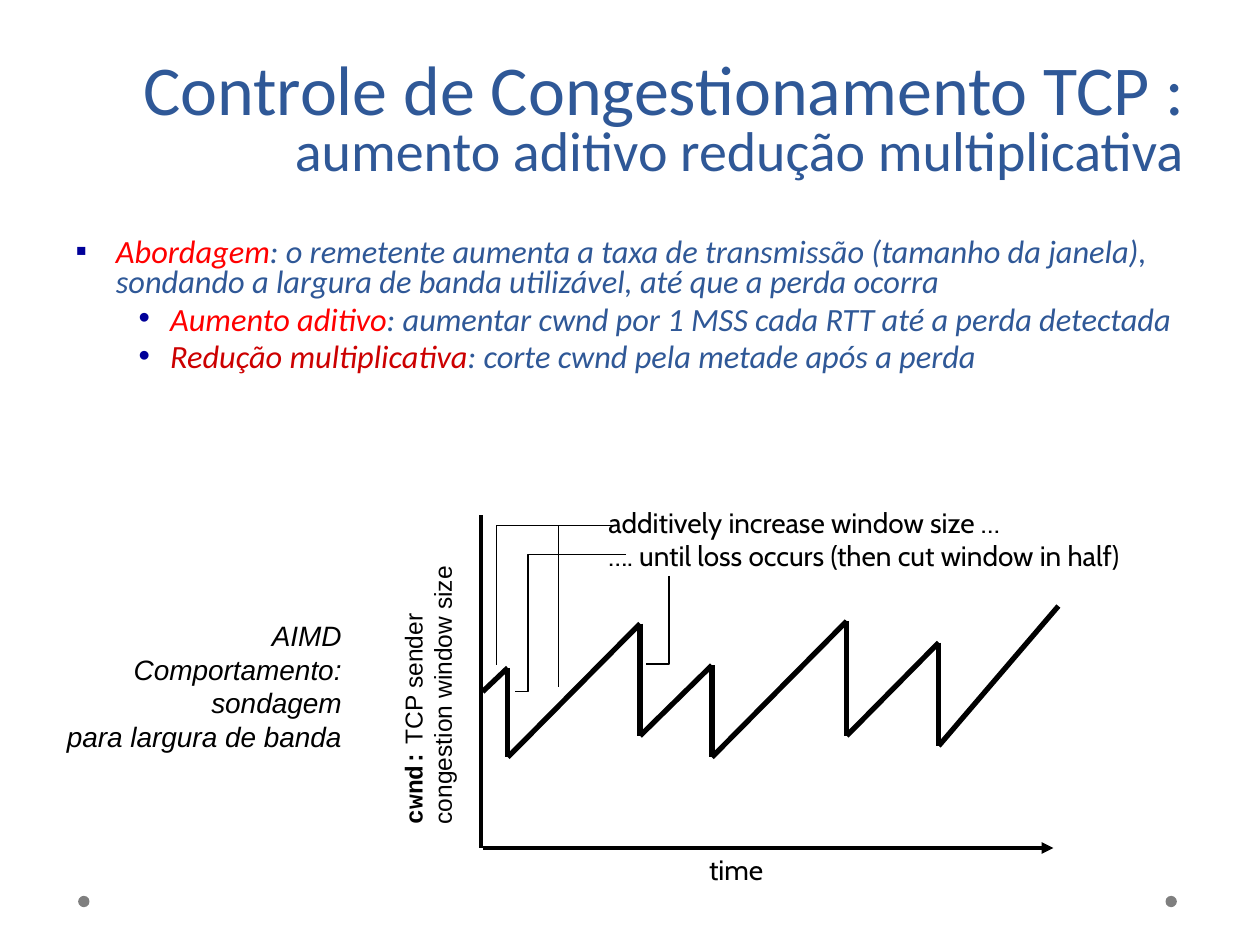
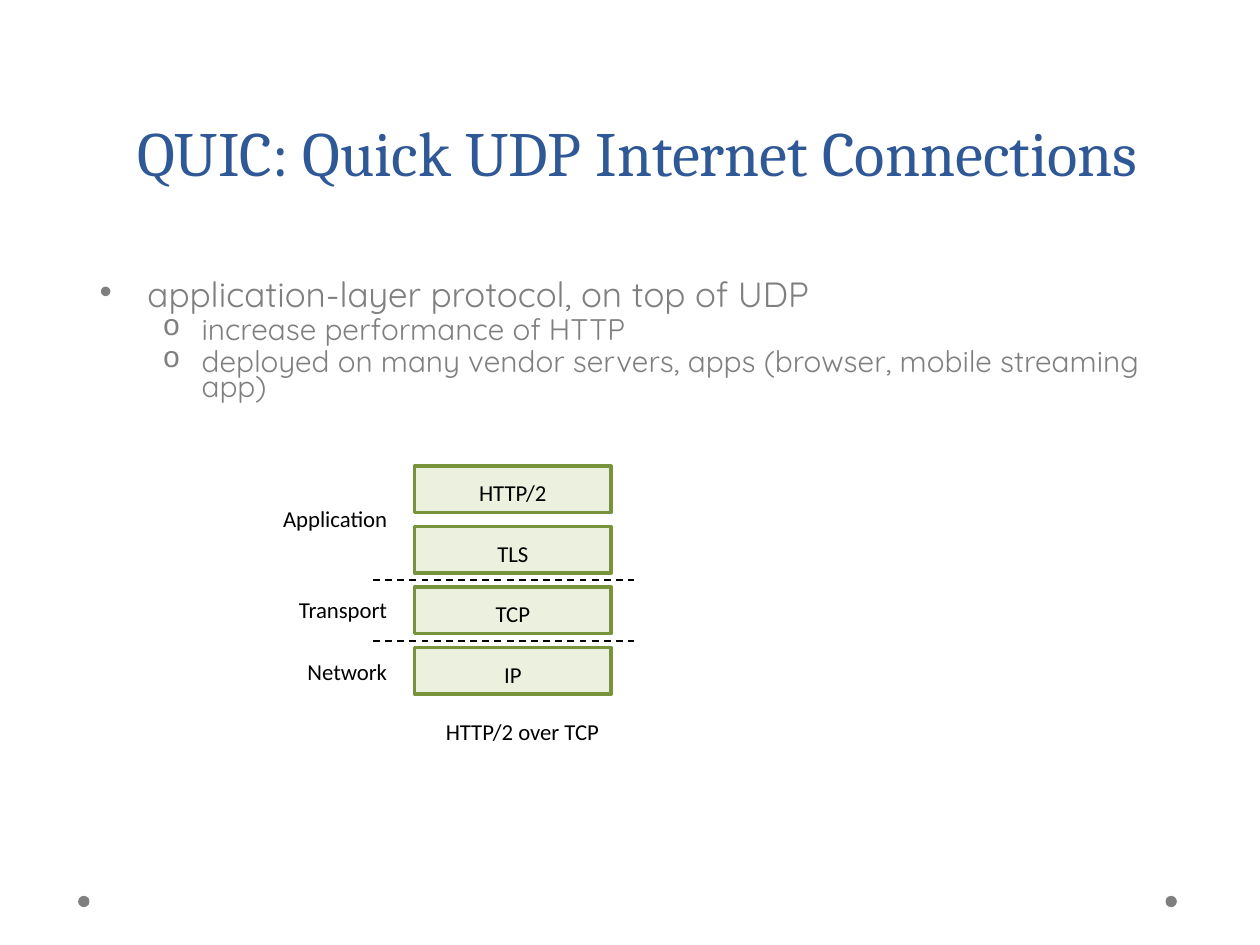
from lxml.etree import SubElement
from pptx import Presentation
from pptx.dml.color import RGBColor
from pptx.enum.dml import MSO_LINE
from pptx.enum.shapes import MSO_CONNECTOR, MSO_SHAPE
from pptx.enum.text import MSO_ANCHOR, MSO_AUTO_SIZE, PP_ALIGN
from pptx.oxml.ns import qn
from pptx.util import Inches, Pt

# Shared palette
BLUE = "2F5897"
GRAY = "7F7F7F"
BLACK = "000000"
RED = "FF0000"
DARK_RED = "CC0000"
NAVY = "000099"
BOX_FILL = "EBF1DE"
BOX_LINE = "77933C"


def color(hex_code):
    return RGBColor.from_string(hex_code)


def add_text(paragraph, text, size=16, font="Calibri", fill=BLACK, bold=False, italic=False):
    run = paragraph.add_run()
    run.text = text
    run.font.size = Pt(size)
    run.font.name = font
    run.font.bold = bold
    run.font.italic = italic
    run.font.color.rgb = color(fill)


def place(shape, left, top, width, height):
    shape.left, shape.top = Inches(left), Inches(top)
    shape.width, shape.height = Inches(width), Inches(height)


def next_paragraph(frame, index):
    return frame.add_paragraph() if index else frame.paragraphs[0]


def add_dots(slide):
    for left in (0.62, 9.25):
        dot = slide.shapes.add_shape(
            MSO_SHAPE.OVAL, Inches(left), Inches(7.11), Inches(0.09), Inches(0.09))
        dot.shadow.inherit = False
        dot.fill.solid()
        dot.fill.fore_color.rgb = color(GRAY)
        dot.line.fill.background()


def set_title(slide, box, runs, align, spacing, font):
    """Fill the title with (text, size) runs."""
    title = slide.shapes.title
    place(title, *box)
    frame = title.text_frame
    frame.auto_size = MSO_AUTO_SIZE.NONE
    frame.vertical_anchor = MSO_ANCHOR.BOTTOM
    paragraph = frame.paragraphs[0]
    paragraph.alignment = align
    paragraph.line_spacing = spacing
    for text, size in runs:
        add_text(paragraph, text, size=size, font=font, fill=BLUE)


def set_bullet(paragraph, character, fill, font, margin, hanging):
    properties = paragraph._p.get_or_add_pPr()
    properties.set("marL", str(Inches(margin)))
    properties.set("indent", str(-Inches(hanging)))
    bullet_color = SubElement(properties, qn("a:buClr"))
    SubElement(bullet_color, qn("a:srgbClr"), val=fill)
    SubElement(properties, qn("a:buFont"), typeface=font)
    SubElement(properties, qn("a:buChar"), char=character)


def set_list(slide, box, items, levels, spacing, bullet_fill, **text_format):
    """Fill the body with (level, runs) items; a run is (text, size, fill)."""
    body = slide.placeholders[1]
    place(body, *box)
    frame = body.text_frame
    frame.auto_size = MSO_AUTO_SIZE.NONE
    for index, (level, runs) in enumerate(items):
        character, font, margin, hanging, before = levels[level]
        paragraph = next_paragraph(frame, index)
        paragraph.level = level
        set_bullet(paragraph, character, bullet_fill, font, margin, hanging)
        paragraph.line_spacing = spacing
        paragraph.space_before = Pt(before if index else 0)
        for text, size, fill in runs:
            add_text(paragraph, text, size=size, fill=fill, **text_format)


def add_label(slide, box, lines, wrap=False, align=PP_ALIGN.LEFT, **text_format):
    label = slide.shapes.add_textbox(*(Inches(value) for value in box))
    frame = label.text_frame
    frame.word_wrap = wrap
    for index, line in enumerate(lines):
        paragraph = next_paragraph(frame, index)
        paragraph.alignment = align
        add_text(paragraph, line, **text_format)
    return label


def add_line(slide, start, end, width, dash=None, arrow=False):
    line = slide.shapes.add_connector(
        MSO_CONNECTOR.STRAIGHT, *(Inches(value) for value in (*start, *end)))
    line.line.color.rgb = color(BLACK)
    line.line.width = Pt(width)
    if dash:
        line.line.dash_style = dash
    if arrow:
        SubElement(line.line._get_or_add_ln(), qn("a:tailEnd"), type="triangle")
    SubElement(line._element.spPr, qn("a:effectLst"))


def add_callout(slide, points):
    corners = [(Inches(x), Inches(y)) for x, y in points]
    builder = slide.shapes.build_freeform(*corners[0])
    builder.add_line_segments(corners[1:], close=False)
    callout = builder.convert_to_shape()
    callout.shadow.inherit = False
    callout.fill.background()
    callout.line.color.rgb = color(BLACK)
    callout.line.width = Pt(0.75)


def add_layer(slide, name, left, top, width, height):
    layer = slide.shapes.add_shape(
        MSO_SHAPE.RECTANGLE, *(Inches(value) for value in (left, top, width, height)))
    layer.shadow.inherit = False
    layer.fill.solid()
    layer.fill.fore_color.rgb = color(BOX_FILL)
    layer.line.color.rgb = color(BOX_LINE)
    layer.line.width = Pt(2)
    frame = layer.text_frame
    frame.vertical_anchor = MSO_ANCHOR.MIDDLE
    frame.margin_bottom = 0
    paragraph = frame.paragraphs[0]
    paragraph.alignment = PP_ALIGN.CENTER
    add_text(paragraph, name, size=13)


def add_window_graph(slide):
    # Axes and their names
    cwnd = add_label(slide, (2.27, 5.23, 2.25, 0.57), [], size=14)
    cwnd.rotation = 270
    frame = cwnd.text_frame
    add_text(frame.paragraphs[0], "cwnd:", size=14, font="Courier New", bold=True)
    add_text(frame.paragraphs[0], " TCP sender", size=14, font="Arial")
    add_text(frame.add_paragraph(), "congestion window size", size=14, font="Arial")
    add_line(slide, (3.83, 6.73), (8.36, 6.73), 2.25, arrow=True)
    add_line(slide, (3.82, 4.09), (3.82, 6.73), 2.25)
    add_label(slide, (5.53, 6.72, 0.67, 0.37), ["time"], font="Cabin")

    # Sawtooth of the window size
    sawtooth = [(3.83, 5.49), (4.03, 5.3), (4.03, 6.01), (5.08, 4.95),
                (5.08, 5.84), (5.65, 5.28), (5.65, 6.01), (6.72, 4.93),
                (6.72, 5.84), (7.45, 5.1), (7.45, 5.92), (8.4, 4.81)]
    for start, end in zip(sawtooth, sawtooth[1:]):
        add_line(slide, start, end, 3)

    # Explanations and their callouts
    add_label(slide, (4.73, 3.96, 4.78, 0.64),
              ["additively increase window size …",
               "…. until loss occurs (then cut window in half)"], font="Cabin")
    for points in (
        [(4.88, 4.17), (3.94, 4.17), (3.94, 5.28)],
        [(4.97, 4.4), (4.19, 4.4), (4.19, 5.49), (4.09, 5.49)],
        [(4.88, 4.17), (4.43, 4.17), (4.43, 5.45)],
        [(5.31, 4.57), (5.31, 5.27), (5.13, 5.27)],
    ):
        add_callout(slide, points)


def build_congestion_slide(slide):
    set_title(slide, (0.25, 0.25, 9.25, 1.25),
              [("Controle de Congestionamento TCP : ", 40),
               ("aumento aditivo redução multiplicativa", 32)],
              PP_ALIGN.RIGHT, 0.8, "Calibri")
    size = 18.5
    items = [
        (0, [("Abordagem", size, RED),
             (": o remetente aumenta a taxa de transmissão (tamanho da janela), "
              "sondando a largura de banda utilizável, até que a perda ocorra", size, BLUE)]),
        (1, [("Aumento aditivo", size, RED),
             (": aumentar cwnd por 1 MSS cada RTT até a perda detectada", size, BLUE)]),
        (1, [("Redução multiplicativa", size, DARK_RED),
             (": corte cwnd pela metade após a perda", size, BLUE)]),
    ]
    levels = [("▪", "Arial", 0.32, 0.32, 5), ("•", "Arial", 0.75, 0.25, 5)]
    set_list(slide, (0.5, 1.86, 9.16, 1.58), items, levels, 0.75, NAVY, italic=True)
    add_label(slide, (0.27, 4.86, 2.54, 1.17),
              ["AIMD", "Comportamento: sondagem", "para largura de banda"],
              wrap=True, align=PP_ALIGN.RIGHT, font="Arial", italic=True)
    add_window_graph(slide)


def add_protocol_stack(slide):
    left, top, pitch, height = 3.29, 3.7, 0.48, 0.37
    for row, name in enumerate(("HTTP/2", "TLS", "TCP", "IP")):
        add_layer(slide, name, left, top + row * pitch, 1.56, height)

    # Dashed borders below TLS and TCP
    for row in (2, 3):
        border = top + row * pitch - (pitch - height) / 2
        add_line(slide, (2.96, border), (5.03, border), 1, dash=MSO_LINE.DASH)

    for name, label_top in (("Application", 3.96), ("Transport", 4.68), ("Network", 5.17)):
        add_label(slide, (2.04, label_top, 1.13, 0.32), [name],
                  wrap=True, align=PP_ALIGN.RIGHT, size=13)
    add_label(slide, (3.44, 5.65, 1.43, 0.32), ["HTTP/2 over TCP"], size=13)


def build_quic_slide(slide):
    set_title(slide, (0.31, -0.2, 9.5, 1.75),
              [("QUIC: Quick UDP Internet Connections", 36)],
              PP_ALIGN.CENTER, Pt(58), "Cambria")
    items = [
        (0, [("application-layer protocol, on top of UDP", 20, GRAY)]),
        (1, [("increase performance of HTTP", 17, GRAY)]),
        (1, [("deployed on many vendor servers, apps (browser, mobile streaming app)",
              17, GRAY)]),
    ]
    levels = [("•", "Arial", 0.38, 0.38, 5), ("o", "Courier New", 0.81, 0.31, 4.2)]
    set_list(slide, (0.69, 2.2, 8.63, 1.16), items, levels, 0.7, GRAY, font="Quicksand")
    add_protocol_stack(slide)


def main():
    presentation = Presentation()
    presentation.slide_width = Inches(10)
    presentation.slide_height = Inches(7.5)
    layout = presentation.slide_layouts[1]
    for build in (build_congestion_slide, build_quic_slide):
        slide = presentation.slides.add_slide(layout)
        add_dots(slide)
        build(slide)
    presentation.save("out.pptx")


if __name__ == "__main__":
    main()
